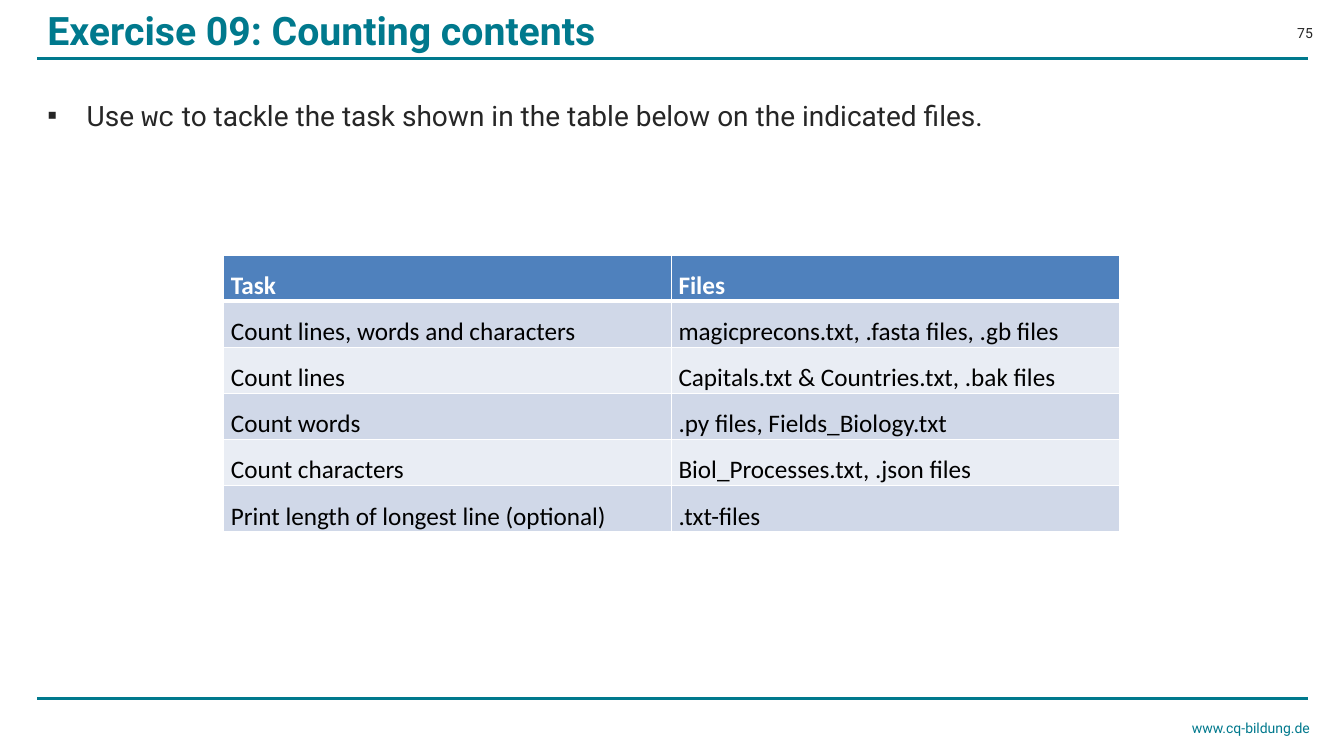
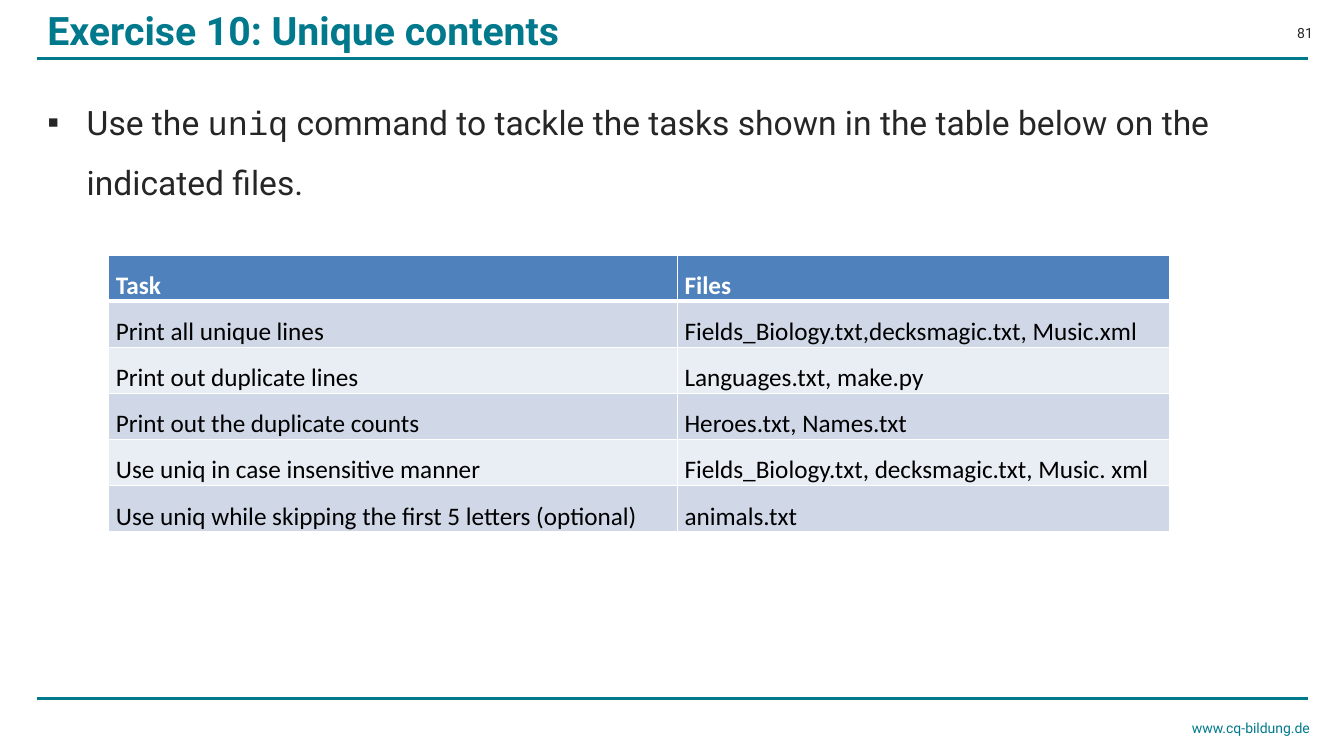
from lxml import etree
from pptx import Presentation
from pptx.dml.color import RGBColor
from pptx.enum.shapes import MSO_CONNECTOR
from pptx.enum.text import MSO_ANCHOR, MSO_AUTO_SIZE, PP_ALIGN
from pptx.oxml.ns import qn
from pptx.util import Pt

PX = 9144  # EMU per px, 100 px to the inch
LEFT, RIGHT, JUSTIFY = PP_ALIGN.LEFT, PP_ALIGN.RIGHT, PP_ALIGN.JUSTIFY
MIDDLE, TOP = MSO_ANCHOR.MIDDLE, MSO_ANCHOR.TOP
STRAIGHT = MSO_CONNECTOR.STRAIGHT
NO_AUTOFIT = MSO_AUTO_SIZE.NONE

TEAL, INK, WHITE, BLACK = "00798D", "262626", "FFFFFF", "000000"
HEADER_FILL = "4F81BD"
BAND_FILLS = ["E9EDF4", "D0D8E8"]
SANS, MONO, TABLE_FONT = "Roboto", "Courier New", "Calibri"
MARGIN, CONTENT_W = 37, 1260
TABLE_TOP, ROW_H = 253, 41

EXERCISES = [
    {
        "title": "Exercise 09: Counting contents",
        "number": "75",
        "task": [("Use ", SANS), ("wc", MONO),
                 (" to tackle the task shown in the table below on the indicated files.", SANS)],
        "task_size": 20,
        "task_height": 71,
        "table_left": 222,
        "columns": [444, 444],
        "rows": [
            ("Task", "Files"),
            ("Count lines, words and characters", "magicprecons.txt, .fasta files, .gb files"),
            ("Count lines", "Capitals.txt & Countries.txt, .bak files"),
            ("Count words", ".py files, Fields_Biology.txt"),
            ("Count characters", "Biol_Processes.txt, .json files"),
            ("Print length of longest line (optional)", ".txt-files"),
        ],
    },
    {
        "title": "Exercise 10: Unique contents",
        "number": "81",
        "task": [("Use the ", SANS), ("uniq", MONO),
                 (" command to tackle the tasks shown in the table below on the indicated files.", SANS)],
        "task_size": 24,
        "task_height": 122,
        "table_left": 108,
        "columns": [564, 488],
        "rows": [
            ("Task", "Files"),
            ("Print all unique lines", "Fields_Biology.txt,decksmagic.txt, Music.xml"),
            ("Print out duplicate lines", "Languages.txt, make.py"),
            ("Print out the duplicate counts", "Heroes.txt, Names.txt"),
            ("Use uniq in case insensitive manner", "Fields_Biology.txt, decksmagic.txt, Music. xml"),
            ("Use uniq while skipping the first 5 letters (optional)", "animals.txt"),
        ],
    },
]


def px(n):
    return n * PX


def rgb(color):
    return RGBColor.from_string(color)


def add_text(p, text, font=SANS, size=10, color=INK, bold=False, align=LEFT, spacing=1.0):
    p.alignment, p.line_spacing, p.space_before = align, spacing, Pt(0)
    r = p.add_run()
    r.text = text
    r.font.name, r.font.size, r.font.bold = font, Pt(size), bold
    r.font.color.rgb = rgb(color)


def place(sp, x, y, w, h, anchor):
    """Position a text shape and return its first paragraph."""
    sp.left, sp.top, sp.width, sp.height = map(px, (x, y, w, h))
    tf = sp.text_frame
    tf.word_wrap, tf.auto_size, tf.vertical_anchor = True, NO_AUTOFIT, anchor
    return tf.paragraphs[0]


def add_label(s, x, y, w, h, text, color):
    p = place(s.shapes.add_textbox(0, 0, 0, 0), x, y, w, h, MIDDLE)
    add_text(p, text, color=color, align=RIGHT)


def add_rule(s, y):
    line = s.shapes.add_connector(STRAIGHT, px(MARGIN), px(y), px(MARGIN + CONTENT_W), px(y))
    line.line.color.rgb = rgb(TEAL)
    line.line.width = Pt(2)
    etree.SubElement(line._element.spPr, qn("a:effectLst"))


def set_bullet(p, char, indent):
    pPr = p._p.get_or_add_pPr()
    pPr.set("marL", str(px(indent)))
    pPr.set("indent", str(px(-indent)))
    etree.SubElement(pPr, qn("a:buChar"), char=char)


def set_borders(cell, color, bottom):
    tcPr = cell._tc.get_or_add_tcPr()
    for side, width in (("L", 1), ("R", 1), ("T", 1), ("B", bottom)):
        ln = etree.SubElement(tcPr, qn(f"a:ln{side}"), w=str(Pt(width)))
        fill = etree.SubElement(ln, qn("a:solidFill"))
        etree.SubElement(fill, qn("a:srgbClr"), val=color)


def add_task_table(s, left, columns, rows):
    frame = s.shapes.add_table(len(rows), len(columns), px(left), px(TABLE_TOP),
                               px(sum(columns)), px(ROW_H * len(rows)))
    table = frame.table
    for column, width in zip(table.columns, columns):
        column.width = px(width)
    for i, row in enumerate(rows):
        header = i == 0
        for j, text in enumerate(row):
            cell = table.cell(i, j)
            cell.margin_left = cell.margin_right = px(7)
            cell.margin_top = cell.margin_bottom = 0
            set_borders(cell, WHITE, 3 if header else 1)
            cell.fill.solid()
            cell.fill.fore_color.rgb = rgb(HEADER_FILL if header else BAND_FILLS[i % 2])
            add_text(cell.text_frame.paragraphs[0], text, font=TABLE_FONT, size=18,
                     color=WHITE if header else BLACK, bold=header, align=JUSTIFY, spacing=1.5)


def add_frame(s, title, number):
    """Title, rules, web address and page number shared by all slides."""
    add_rule(s, 58)
    add_rule(s, 693)
    add_label(s, 1110, 709, 199, 27, "www.cq-bildung.de", TEAL)
    add_label(s, 1244, 20, 68, 26, number, INK)
    p = place(s.shapes.title, MARGIN, 6, 1144, 47, MIDDLE)
    add_text(p, title, size=28, color=TEAL, bold=True)


def add_exercise(prs, ex):
    s = prs.slides.add_slide(prs.slide_layouts[1])
    add_frame(s, ex["title"], ex["number"])
    # Task description
    p = place(s.placeholders[1], MARGIN, 76, CONTENT_W, ex["task_height"], TOP)
    set_bullet(p, "▪", 39)
    for text, font in ex["task"]:
        add_text(p, text, font=font, size=ex["task_size"], spacing=1.5)
    # Tasks and files
    add_task_table(s, ex["table_left"], ex["columns"], ex["rows"])


def main():
    prs = Presentation()
    prs.slide_width, prs.slide_height = px(1333), px(750)
    for ex in EXERCISES:
        add_exercise(prs, ex)
    prs.save("out.pptx")


if __name__ == "__main__":
    main()
